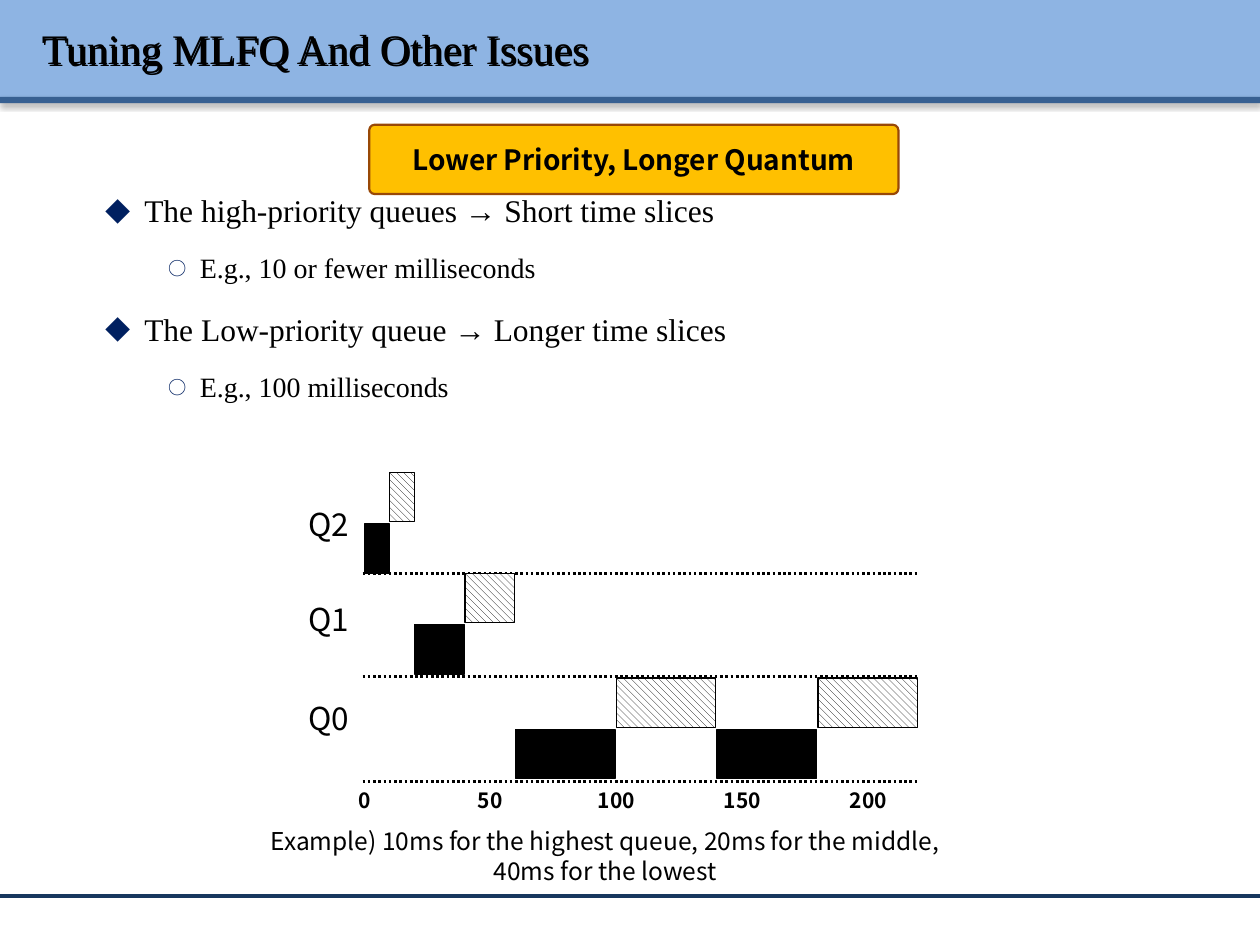
import pptx
import pptx.util
import pptx.dml.color
import pptx.enum.dml
import pptx.enum.shapes
import pptx.enum.text
import pptx.oxml
import pptx.oxml.ns

Pt = pptx.util.Pt
Shape = pptx.enum.shapes.MSO_SHAPE
Align = pptx.enum.text.PP_ALIGN
Anchor = pptx.enum.text.MSO_ANCHOR

THEME = dict(
    serif="Times New Roman", sans="Noto Sans CJK KR",
    black="000000", white="FFFFFF", band="8EB4E3", rule="376092",
    foot="17375E", bullet="002060", gold="FFC000", brown="984807",
    title=24, head=18, sub=16, queue=18, tick=12, note=14, badge=16,
)
TITLE = "Tuning MLFQ And Other Issues"
BADGE = "Lower Priority, Longer Quantum"
POINTS = [
    (0, "The high-priority queues → Short time slices"),
    (1, "E.g., 10 or fewer milliseconds"),
    (0, "The Low-priority queue → Longer time slices"),
    (1, "E.g., 100 milliseconds"),
]
LEVELS = [
    dict(left=58.6, hang=22.3, mark="◆", scale=80, size="head", gap=3.8),
    dict(left=90.3, hang=18, mark="○", scale=65, size="sub", gap=2.8),
]
QUEUES = [
    dict(name="Q2", label=285.1, top=270, base=327.6, slice=10, starts=[0]),
    dict(name="Q1", label=339.1, top=327.6, base=386.6, slice=20, starts=[20]),
    dict(name="Q0", label=396, top=387.4, base=446.4, slice=40, starts=[60, 140]),
]
TICKS = range(0, 201, 50)
NOTE = ["Example) 10ms for the highest queue, 20ms for the middle,",
        "40ms for the lowest"]
ORIGIN, UNIT, FILL = 208.2, 1.44, 1.42
BAR, STEP, END = 28.2, 29.4, 524.2


def color(key):
    return pptx.dml.color.RGBColor.from_string(THEME[key])


def node(xml):
    return pptx.oxml.parse_xml(xml)


def shade(shape, blur, dist, angle, alpha):
    props = shape._element.spPr
    for old in props.findall(pptx.oxml.ns.qn("a:effectLst")):
        props.remove(old)
    props.append(node(
        f'<a:effectLst {pptx.oxml.ns.nsdecls("a")}><a:outerShdw blurRad="{Pt(blur)}" '
        f'dist="{Pt(dist)}" dir="{angle * 60000}" rotWithShape="0">'
        f'<a:srgbClr val="{THEME["black"]}"><a:alpha val="{alpha * 1000}"/></a:srgbClr>'
        '</a:outerShdw></a:effectLst>'))


def write(para, text, size, face="sans", bold=False):
    run = para.add_run()
    run.text = text
    font = run.font
    font.size, font.name, font.bold = Pt(THEME[size]), THEME[face], bold
    font.color.rgb = color("black")


def box(slide, x, y, w, h, wrap=True):
    shape = slide.shapes.add_textbox(Pt(x), Pt(y), Pt(w), Pt(h))
    shape.text_frame.word_wrap = wrap
    return shape


def label(slide, rect, text, size, align, bold=False):
    para = box(slide, *rect, wrap=False).text_frame.paragraphs[0]
    para.alignment = align
    write(para, text, size, bold=bold)


def block(slide, x, y, w, h, fill, line=None, width=0.75, kind=Shape.RECTANGLE):
    shape = slide.shapes.add_shape(kind, Pt(x), Pt(y), Pt(w), Pt(h))
    shape.shadow.inherit = False
    if fill == "hatch":
        shape.fill.patterned()
        shape.fill.pattern = pptx.enum.dml.MSO_PATTERN.WIDE_DOWNWARD_DIAGONAL
        shape.fill.fore_color.rgb = color("black")
        shape.fill.back_color.rgb = color("white")
    else:
        shape.fill.solid()
        shape.fill.fore_color.rgb = color(fill)
    if line:
        shape.line.color.rgb = color(line)
        shape.line.width = Pt(width)
    else:
        shape.line.fill.background()
    return shape


def rule(slide, x, y, end, tone, width, dots=False):
    line = slide.shapes.add_connector(
        pptx.enum.shapes.MSO_CONNECTOR.STRAIGHT, Pt(x), Pt(y), Pt(end), Pt(y))
    line.line.color.rgb = color(tone)
    line.line.width = Pt(width)
    if dots:
        line.line.dash_style = pptx.enum.dml.MSO_LINE.ROUND_DOT
    line._element.spPr.append(node("<a:effectLst %s/>" % pptx.oxml.ns.nsdecls("a")))


def frame(slide):
    for y, h, tone in [(0, 55.4, "band"), (55.4, 3.6, "rule")]:
        shade(block(slide, 0, y, 720, h, tone), 3.1, 1.6, 90, 38)
    rule(slide, 0, 511.9, 720, "foot", 2)
    title = box(slide, 16.8, 4.3, 692, 46)
    shade(title, 0, 1.4, 45, 100)
    text = title.text_frame
    text.vertical_anchor = Anchor.MIDDLE
    write(text.paragraphs[0], TITLE, "title", "serif")


def points(slide):
    text = box(slide, 16.8, 95, 692, 140).text_frame
    for i, (level, words) in enumerate(POINTS):
        style = LEVELS[level]
        para = text.add_paragraph() if i else text.paragraphs[0]
        para.level = level
        para.line_spacing = 1.5
        para.space_before = Pt(style["gap"] if i else 0)
        props = para._p.get_or_add_pPr()
        props.set("marL", str(Pt(style["left"])))
        props.set("indent", str(-Pt(style["hang"])))
        ns = pptx.oxml.ns.nsdecls("a")
        for xml in (
            f'<a:buClr {ns}><a:srgbClr val="{THEME["bullet"]}"/></a:buClr>',
            f'<a:buSzPct {ns} val="{style["scale"] * 1000}"/>',
            f'<a:buFont {ns} typeface="{THEME["sans"]}"/>',
            f'<a:buChar {ns} char="{style["mark"]}"/>',
        ):
            props.append(node(xml))
        write(para, words, style["size"], "serif")


def chart(slide):
    for row in QUEUES:
        rule(slide, ORIGIN - 1, row["base"], END, "black", 1.5, dots=True)
        label(slide, (157, row["label"], 49.7, 28.8), row["name"], "queue", Align.RIGHT)
        span = row["slice"]
        for start in row["starts"]:
            for turn, fill in enumerate(["black", "hatch"]):
                x = ORIGIN + (start + turn * span) * UNIT
                y = row["top"] + (1 - turn) * STEP
                block(slide, x, y, span * FILL, BAR, fill, "black")
    for tick in TICKS:
        x = ORIGIN + tick * UNIT - 22
        label(slide, (x, 446.4, 44, 21.6), str(tick), "tick", Align.CENTER, True)


def note(slide):
    text = box(slide, 87.8, 468.7, 516.2, 41).text_frame
    for i, words in enumerate(NOTE):
        para = text.add_paragraph() if i else text.paragraphs[0]
        para.alignment = Align.CENTER
        write(para, words, "note")


def badge(slide):
    shape = block(slide, 211, 71.3, 302.4, 39.6, "gold", "brown", 1.25,
                  Shape.ROUNDED_RECTANGLE)
    shape.adjustments[0] = 0.08
    text = shape.text_frame
    text.word_wrap = True
    text.vertical_anchor = Anchor.MIDDLE
    text.paragraphs[0].alignment = Align.CENTER
    write(text.paragraphs[0], BADGE, "badge", bold=True)


def main():
    deck = pptx.Presentation()
    deck.slide_width, deck.slide_height = Pt(720), Pt(540)
    slide = deck.slides.add_slide(deck.slide_layouts[6])
    for part in (frame, points, chart, note, badge):
        part(slide)
    deck.save("out.pptx")


if __name__ == "__main__":
    main()
